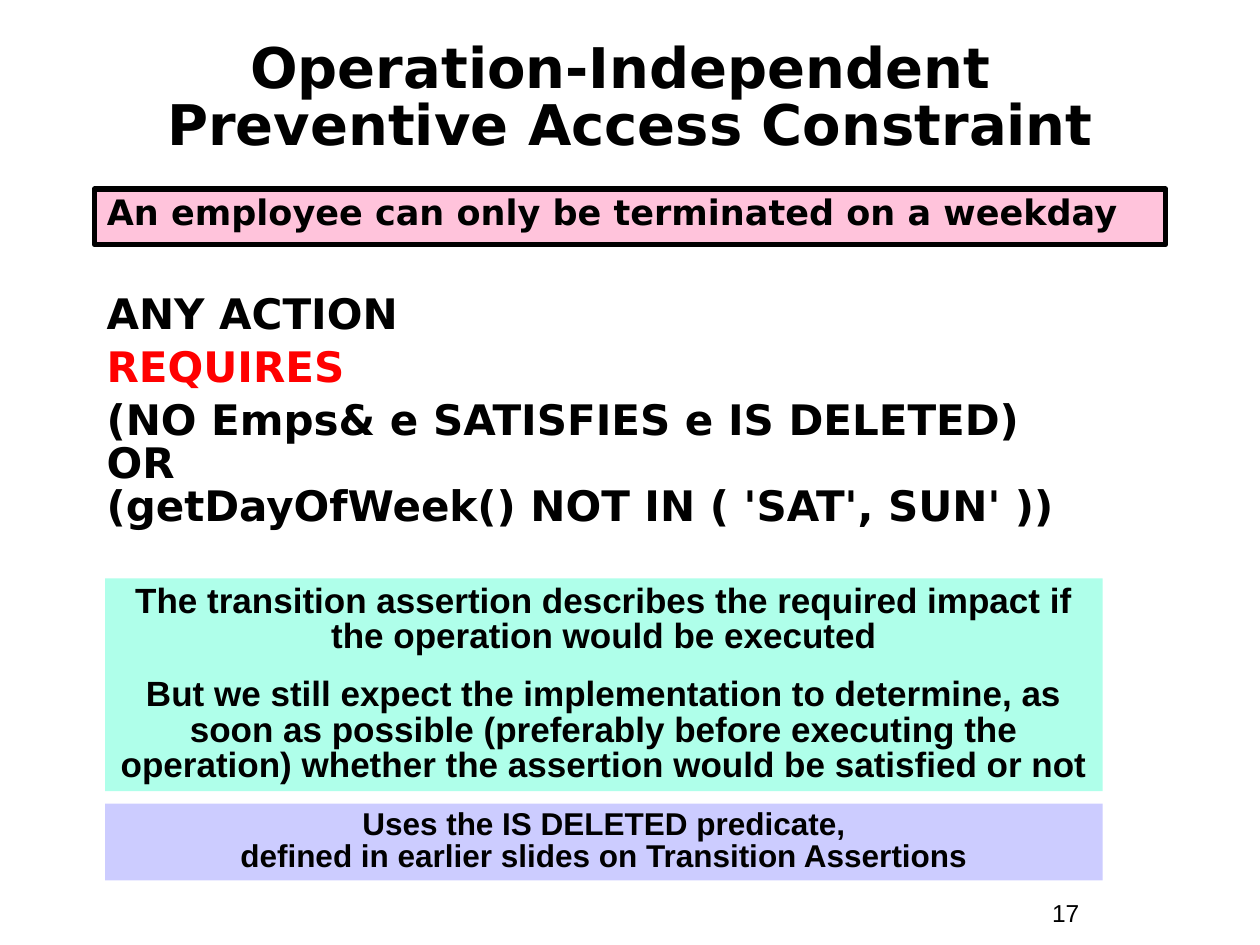
"""Build the slide on an operation-independent preventive access constraint."""
import pptx
import pptx.util
import pptx.dml.color
import pptx.enum.shapes
import pptx.enum.text
import pptx.oxml.ns
import lxml.etree

Cm, Pt = pptx.util.Cm, pptx.util.Pt
ALIGN = pptx.enum.text.PP_ALIGN
ANCHOR = pptx.enum.text.MSO_ANCHOR
SANS, ARIAL = "DejaVu Sans", "Arial"
BLACK, RED = "000000", "FF0000"

TITLE = [("Operation-Independent \nPreventive Access Constraint", BLACK)]
RULE = [("An employee can only be terminated on a weekday", BLACK)]
CODE = [
    ("ANY ACTION", BLACK),
    ("REQUIRES", RED),
    ("(NO Emps& e SATISFIES e IS DELETED)\nOR \n"
     "(getDayOfWeek() NOT IN ( 'SAT', SUN' ))", BLACK),
]
NOTES = [
    (11.66, 4.29, "AFFFEA", 20, [
        ("The transition assertion describes the required impact if "
         "the operation would be executed", BLACK),
        ("But we still expect the implementation to determine, as soon as "
         "possible (preferably before executing the operation) whether the "
         "assertion would be satisfied or not", BLACK),
    ]),
    (16.2, 1.55, "CCCCFF", 18, [
        ("Uses the IS DELETED predicate,\n"
         "defined in earlier slides on Transition Assertions", BLACK),
    ]),
]
PAGE = [("17", BLACK)]


def color(code):
    return pptx.dml.color.RGBColor.from_string(code)


def place(shape, left, top, width, height):
    shape.left, shape.top = Cm(left), Cm(top)
    shape.width, shape.height = Cm(width), Cm(height)


def paint(shape, fill):
    shape.fill.solid()
    shape.fill.fore_color.rgb = color(fill)


def write(shape, lines, font, size, bold=True, align=ALIGN.LEFT,
          anchor=ANCHOR.TOP, lead=0.85, gap=0):
    frame = shape.text_frame
    frame.word_wrap = True
    frame.auto_size = pptx.enum.text.MSO_AUTO_SIZE.NONE
    frame.vertical_anchor = anchor
    for i, (text, ink) in enumerate(lines):
        para = frame.add_paragraph() if i else frame.paragraphs[0]
        para.text = text
        para.alignment = align
        para.line_spacing = lead
        para.space_before = Pt(gap if i else 0)
        for run in para.runs:
            run.font.name, run.font.size = font, Pt(size)
            run.font.bold = bold
            run.font.color.rgb = color(ink)


def unlist(para):
    props = para._p.get_or_add_pPr()
    props.set("marL", "0")
    props.set("indent", "0")
    lxml.etree.SubElement(props, pptx.oxml.ns.qn("a:buNone"))


def main():
    deck = pptx.Presentation()
    deck.slide_width, deck.slide_height = Cm(25.4), Cm(19.05)
    slide = deck.slides.add_slide(deck.slide_layouts[1])
    shapes = slide.shapes

    title = shapes.title
    place(title, 0.43, 0.84, 24.56, 2.34)
    write(title, TITLE, SANS, 32, align=ALIGN.CENTER, anchor=ANCHOR.MIDDLE)

    rule = slide.placeholders[1]
    place(rule, 1.9, 3.81, 21.6, 1.12)
    paint(rule, "FFC3DB")
    rule.line.color.rgb = color(BLACK)
    rule.line.width = Pt(3)
    write(rule, RULE, SANS, 20, lead=0.9)
    unlist(rule.text_frame.paragraphs[0])

    code = shapes.add_textbox(Cm(1.9), Cm(5.82), Cm(22.43), Cm(5))
    write(code, CODE, SANS, 24, gap=6)

    for top, height, fill, size, lines in NOTES:
        note = shapes.add_shape(pptx.enum.shapes.MSO_SHAPE.RECTANGLE,
                                Cm(2.12), Cm(top), Cm(20.11), Cm(height))
        note.shadow.inherit = False
        note.line.fill.background()
        paint(note, fill)
        write(note, lines, ARIAL, size, align=ALIGN.CENTER, gap=12.5)

    page = shapes.add_textbox(Cm(20.96), Cm(17.98), Cm(2.34), Cm(0.86))
    write(page, PAGE, ARIAL, 14, bold=False, lead=1)
    deck.save("out.pptx")


if __name__ == "__main__":
    main()
